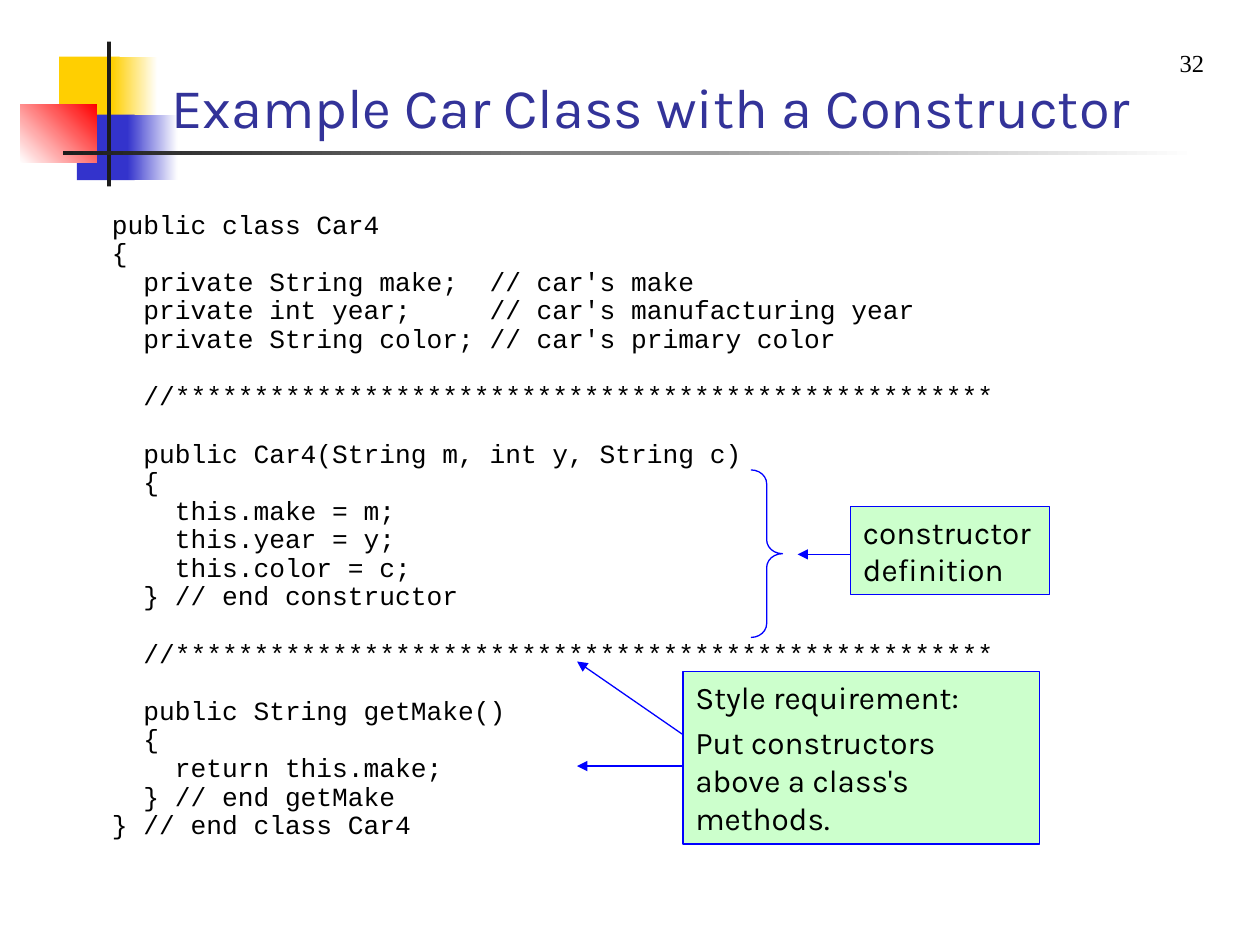
from lxml import etree
from pptx import Presentation
from pptx.dml.color import RGBColor
from pptx.enum.shapes import MSO_CONNECTOR, MSO_SHAPE
from pptx.enum.text import MSO_ANCHOR, PP_ALIGN
from pptx.oxml.ns import qn
from pptx.util import Inches, Pt

RECTANGLE = MSO_SHAPE.RECTANGLE
RIGHT_BRACE = MSO_SHAPE.RIGHT_BRACE
STRAIGHT = MSO_CONNECTOR.STRAIGHT
TOP, BOTTOM = MSO_ANCHOR.TOP, MSO_ANCHOR.BOTTOM
LEFT, CENTER = PP_ALIGN.LEFT, PP_ALIGN.CENTER

YELLOW, BLUE, RED = "FFCF01", "3333CC", "FF0000"
WHITE, BLACK, CHARCOAL = "FFFFFF", "000000", "1C1C1C"
TITLE_BLUE, NOTE_GREEN, NOTE_BLUE = "333399", "CCFFCC", "0000FF"
CODE_GAP, SECTION_GAP = 3.7, 20.1  # points above a line, and above a new section

CODE = """\
public class Car4
{
  private String make;  // car's make
  private int year;     // car's manufacturing year
  private String color; // car's primary color

  //****************************************************

  public Car4(String m, int y, String c)
  {
    this.make = m;
    this.year = y;
    this.color = c;
  } // end constructor

  //****************************************************

  public String getMake()
  {
    return this.make;
  } // end getMake
} // end class Car4"""


def rgb(hex_code):
    return RGBColor.from_string(hex_code)


def write(shape, text, font, size, color=BLACK, align=LEFT, anchor=TOP, before=0):
    """Fill the shape with text, one paragraph per line, in a single style."""
    frame = shape.text_frame
    frame.word_wrap = True
    frame.vertical_anchor = anchor
    frame.text = text
    for paragraph in frame.paragraphs:
        paragraph.alignment = align
        paragraph.space_before = Pt(before)
        for run in paragraph.runs:
            run.font.name = font
            run.font.size = Pt(size)
            run.font.color.rgb = rgb(color)


prs = Presentation()
prs.slide_width, prs.slide_height = Inches(10), Inches(7.5)
slide = prs.slides.add_slide(prs.slide_layouts[6])
shapes = slide.shapes

# Decoration: box, start colour, end colour (None for plain), gradient angle
decoration = [
    ((0.47, 0.45, 0.48, 0.52), YELLOW, None, 0),
    ((0.89, 0.45, 0.36, 0.52), YELLOW, WHITE, 0),
    ((0.61, 0.91, 0.46, 0.52), BLUE, None, 0),
    ((1.01, 0.91, 0.4, 0.52), BLUE, WHITE, 0),
    ((0.16, 0.83, 0.61, 0.46), WHITE, RED, 45),
    ((0.85, 0.33, 0.03, 1.15), CHARCOAL, None, 0),
    ((0.5, 1.2, 9, 0.03), CHARCOAL, WHITE, 0),
]
for box, start, end, angle in decoration:
    block = shapes.add_shape(RECTANGLE, *map(Inches, box))
    block.shadow.inherit = False
    block.line.fill.background()
    if end:
        block.fill.gradient()
        block.fill.gradient_angle = angle
        for stop, color in zip(block.fill.gradient_stops, (start, end)):
            stop.color.rgb = rgb(color)
    else:
        block.fill.solid()
        block.fill.fore_color.rgb = rgb(start)

title = shapes.add_textbox(Inches(1.26), Inches(0.34), Inches(7.82), Inches(0.82))
write(title, "Example Car Class with a Constructor", "Karla", 32, TITLE_BLUE, anchor=BOTTOM)

# Code listing: sections are set apart by extra space above their first line
sections = [section.split("\n") for section in CODE.split("\n\n")]
code_lines = [line for section in sections for line in section]
code = shapes.add_textbox(Inches(0.79), Inches(1.67), Inches(8.79), Inches(5.46))
write(code, "\n".join(code_lines), "Courier New", 15, before=CODE_GAP)
code_paragraphs = code.text_frame.paragraphs
for paragraph in code_paragraphs:
    paragraph.line_spacing = 0.7
section_start = 0
for section in sections[:-1]:
    section_start += len(section)
    code_paragraphs[section_start].space_before = Pt(SECTION_GAP)

notes = [
    ((6.75, 4.02, 1.58, 0.7), "constructor definition", 11.2),
    ((5.42, 5.33, 2.83, 1.37),
     "Style requirement:\nPut constructors above a class's methods.", 4.5),
]
for box, text, before in notes:
    note = shapes.add_shape(RECTANGLE, *map(Inches, box))
    note.shadow.inherit = False
    note.fill.solid()
    note.fill.fore_color.rgb = rgb(NOTE_GREEN)
    note.line.color.rgb = rgb(NOTE_BLUE)
    note.line.width = Pt(0.75)
    write(note, text, "Karla", 18, before=before)

brace = shapes.add_shape(RIGHT_BRACE, Inches(5.96), Inches(3.73), Inches(0.25), Inches(1.33))
brace.shadow.inherit = False
brace.fill.background()
brace.line.color.rgb = rgb(NOTE_BLUE)
brace.line.width = Pt(0.75)
brace.adjustments[0] = 0.44

arrows = [
    (6.75, 4.4, 6.33, 4.4),
    (5.42, 5.83, 4.58, 5.25),
    (5.42, 6.08, 4.58, 6.08),
]
for ends in arrows:
    arrow = shapes.add_connector(STRAIGHT, *map(Inches, ends))
    arrow.line.color.rgb = rgb(NOTE_BLUE)
    arrow.line.width = Pt(0.75)
    etree.SubElement(arrow.line._get_or_add_ln(), qn("a:tailEnd"), type="triangle")
    etree.SubElement(arrow._element.spPr, qn("a:effectLst"))

page_number = shapes.add_textbox(Inches(9.25), Inches(0.33), Inches(0.42), Inches(0.33))
write(page_number, "32", "Times New Roman", 14, align=CENTER)

prs.save("out.pptx")
